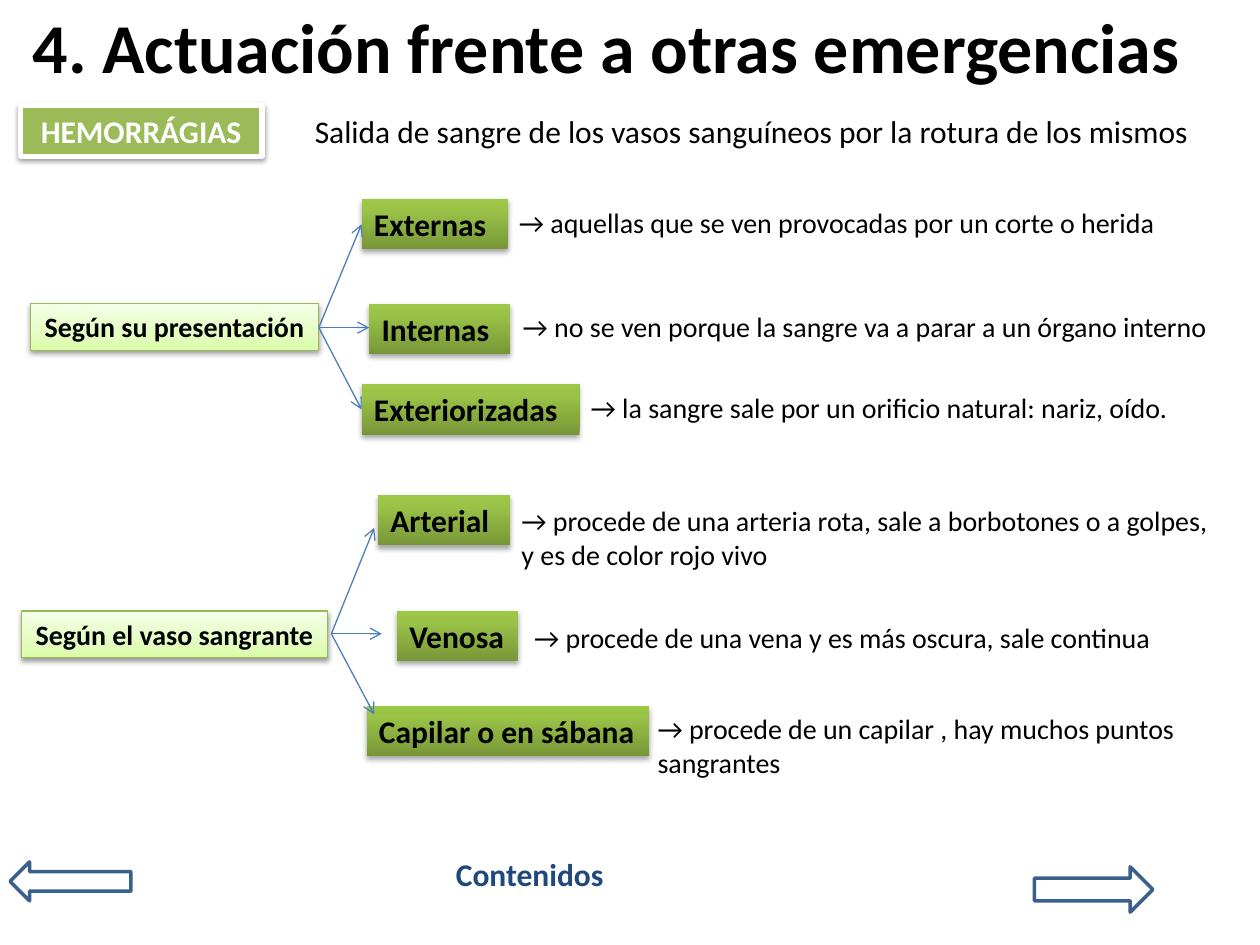
from lxml import etree
from pptx import Presentation
from pptx.dml.color import RGBColor
from pptx.enum.shapes import MSO_CONNECTOR, MSO_SHAPE
from pptx.enum.text import MSO_ANCHOR, MSO_AUTO_SIZE, PP_ALIGN
from pptx.oxml.ns import qn
from pptx.util import Inches, Pt

FONT = "Calibri"
BLACK = RGBColor(0, 0, 0)
WHITE = RGBColor(255, 255, 255)
NAVY = RGBColor(0x1F, 0x49, 0x7D)
ARROW_BLUE = RGBColor(0x3A, 0x5F, 0x8C)
LINK_BLUE = RGBColor(0x4B, 0x7E, 0xBC)
GREEN = RGBColor(0x9B, 0xBB, 0x59)
PALE_EDGE = RGBColor(0x98, 0xB9, 0x55)
PALE_STOPS = [
    (0, RGBColor(0xDA, 0xFD, 0xA7)),
    (35, RGBColor(0xE4, 0xFC, 0xC2)),
    (100, RGBColor(0xF5, 0xFF, 0xE7)),
]
DARK_STOPS = [
    (0, RGBColor(0x77, 0x97, 0x37)),
    (80, RGBColor(0x9B, 0xC3, 0x48)),
    (100, RGBColor(0x9D, 0xC7, 0x46)),
]
LEFT, CENTER = PP_ALIGN.LEFT, PP_ALIGN.CENTER
TOP, MIDDLE = MSO_ANCHOR.TOP, MSO_ANCHOR.MIDDLE
GROW, FIXED = MSO_AUTO_SIZE.SHAPE_TO_FIT_TEXT, MSO_AUTO_SIZE.NONE
RECTANGLE = MSO_SHAPE.RECTANGLE
LEFT_ARROW, RIGHT_ARROW = MSO_SHAPE.LEFT_ARROW, MSO_SHAPE.RIGHT_ARROW
STRAIGHT = MSO_CONNECTOR.STRAIGHT

CLASSIFICATIONS = [
    ("Según su presentación", (0.24, 2.41, 2.29, 0.37), (2.53, 2.6), [
        ("Externas", (2.87, 1.58, 1.16, 0.4), (2.87, 1.78),
         "→ aquellas que se ven provocadas por un corte o herida",
         (4.02, 1.58, 5.29, 0.37)),
        ("Internas", (2.93, 2.41, 1.12, 0.4), (2.93, 2.6),
         "→ no se ven porque la sangre va a parar a un órgano interno",
         (4.05, 2.41, 5.78, 0.37)),
        ("Exteriorizadas", (2.87, 3.05, 1.73, 0.4), (2.87, 3.25),
         "→ la sangre sale por un orificio natural: nariz, oído.",
         (4.59, 3.05, 5.14, 0.37)),
    ]),
    ("Según el vaso sangrante", (0.17, 4.85, 2.43, 0.37), (2.63, 5.03), [
        ("Arterial", (3, 3.93, 1.05, 0.4), (2.97, 4.19),
         "→ procede de una arteria rota, sale a borbotones o a golpes, "
         "y es de color rojo vivo",
         (4.04, 3.95, 5.75, 0.64)),
        ("Venosa", (3.15, 4.85, 0.96, 0.4), (3.03, 5.03),
         "→ procede de una vena y es más oscura, sale continua",
         (4.14, 4.88, 5.55, 0.37)),
        ("Capilar o en sábana", (2.91, 5.6, 2.24, 0.4), (2.97, 5.67),
         "→ procede de un capilar , hay muchos puntos sangrantes",
         (5.12, 5.6, 4.65, 0.64)),
    ]),
]


def write(shape, text, size, color=BLACK, bold=False, align=LEFT,
          anchor=TOP, wrap=True, fit=GROW):
    """Put one formatted run of text in a shape."""
    frame = shape.text_frame
    frame.word_wrap = wrap
    frame.auto_size = fit
    frame.vertical_anchor = anchor
    para = frame.paragraphs[0]
    para.alignment = align
    span = para.add_run()
    span.text = text
    span.font.name = FONT
    span.font.size = Pt(size)
    span.font.bold = bold
    span.font.color.rgb = color


def add_text(page, box, text, size, **style):
    """Add a text box."""
    write(page.shapes.add_textbox(*map(Inches, box)), text, size, **style)


def add_block(page, box, preset=RECTANGLE, edge=None, width=0.75):
    """Add an unfilled preset shape without a shadow."""
    block = page.shapes.add_shape(preset, *map(Inches, box))
    block.shadow.inherit = False
    block.fill.background()
    if edge is None:
        block.line.fill.background()
    else:
        block.line.color.rgb = edge
        block.line.width = Pt(width)
    return block


def add_shadow(shape, opacity, distance):
    """Give a shape a soft shadow that falls straight down."""
    effects = shape.element.spPr.find(qn("a:effectLst"))
    shadow = etree.SubElement(
        effects, qn("a:outerShdw"), blurRad=str(Pt(3.1)),
        dist=str(Pt(distance)), dir="5400000", rotWithShape="0")
    color = etree.SubElement(shadow, qn("a:srgbClr"), val=str(BLACK))
    etree.SubElement(color, qn("a:alpha"), val=str(opacity * 1000))


def fill_gradient(shape, stops):
    """Fill a shape with a gradient that runs from bottom to top."""
    shape.fill.gradient()
    shape.fill.gradient_angle = 90
    stop_list = shape.element.spPr.find(qn("a:gradFill")).find(qn("a:gsLst"))
    for old in list(stop_list):
        stop_list.remove(old)
    for position, color in stops:
        stop = etree.SubElement(stop_list, qn("a:gs"), pos=str(position * 1000))
        etree.SubElement(stop, qn("a:srgbClr"), val=str(color))


def add_link(page, start, end):
    """Draw a thin arrow between two points."""
    link = page.shapes.add_connector(STRAIGHT, *map(Inches, start + end))
    link.line.color.rgb = LINK_BLUE
    link.line.width = Pt(0.75)
    properties = link.element.spPr
    etree.SubElement(properties.find(qn("a:ln")), qn("a:tailEnd"), type="arrow")
    etree.SubElement(properties, qn("a:effectLst"))


def add_title(page, box, text):
    """Place and format the title placeholder."""
    title = page.shapes.title
    title.left, title.top, title.width, title.height = map(Inches, box)
    write(title, text, 40, bold=True, anchor=MIDDLE, fit=FIXED)


def add_topic(page, box, text):
    """Add the framed topic label."""
    topic = add_block(page, box, edge=WHITE, width=3)
    topic.fill.solid()
    topic.fill.fore_color.rgb = GREEN
    add_shadow(topic, 38, 1.6)
    write(topic, text, 18, color=WHITE, bold=True, align=CENTER)


def add_classification(page, name, box, origin, kinds):
    """Add a criterion with arrows to its kinds and their descriptions."""
    criterion = add_block(page, box, edge=PALE_EDGE)
    fill_gradient(criterion, PALE_STOPS)
    add_shadow(criterion, 38, 1.6)
    write(criterion, name, 16, bold=True, align=CENTER, wrap=False)
    for kind, kind_box, tip, description, description_box in kinds:
        add_text(page, description_box, description, 16)
        label = add_block(page, kind_box)
        fill_gradient(label, DARK_STOPS)
        add_shadow(label, 35, 1.8)
        write(label, kind, 18, bold=True, wrap=False)
        add_link(page, origin, tip)


def main():
    """Build the slide and save it."""
    deck = Presentation()
    deck.slide_width, deck.slide_height = Inches(10), Inches(7.5)
    page = deck.slides.add_slide(deck.slide_layouts.get_by_name("Title Only"))
    add_title(page, (0.16, 0.05, 9.42, 0.63),
              "4. Actuación frente a otras emergencias")
    add_topic(page, (0.16, 0.84, 1.92, 0.4), "HEMORRÁGIAS")
    add_text(page, (2.4, 0.84, 7.4, 0.4),
             "Salida de sangre de los vasos sanguíneos por la rotura de los mismos",
             18)
    for classification in CLASSIFICATIONS:
        add_classification(page, *classification)
    add_block(page, (0.08, 6.84, 0.96, 0.31), LEFT_ARROW, ARROW_BLUE, 2)
    add_block(page, (8.21, 6.88, 0.94, 0.36), RIGHT_ARROW, ARROW_BLUE, 2)
    add_text(page, (3.52, 6.74, 1.44, 0.4), "Contenidos", 18,
             color=NAVY, bold=True)
    deck.save("out.pptx")


if __name__ == "__main__":
    main()
